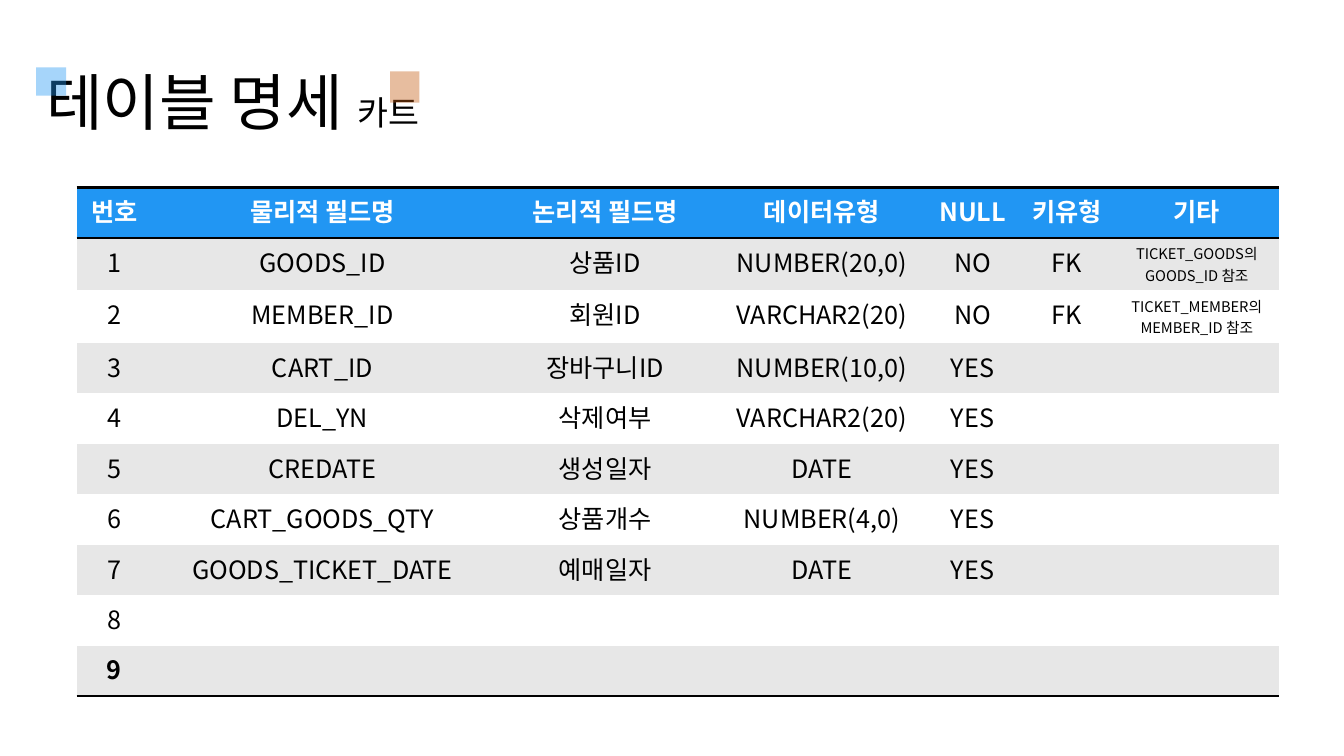
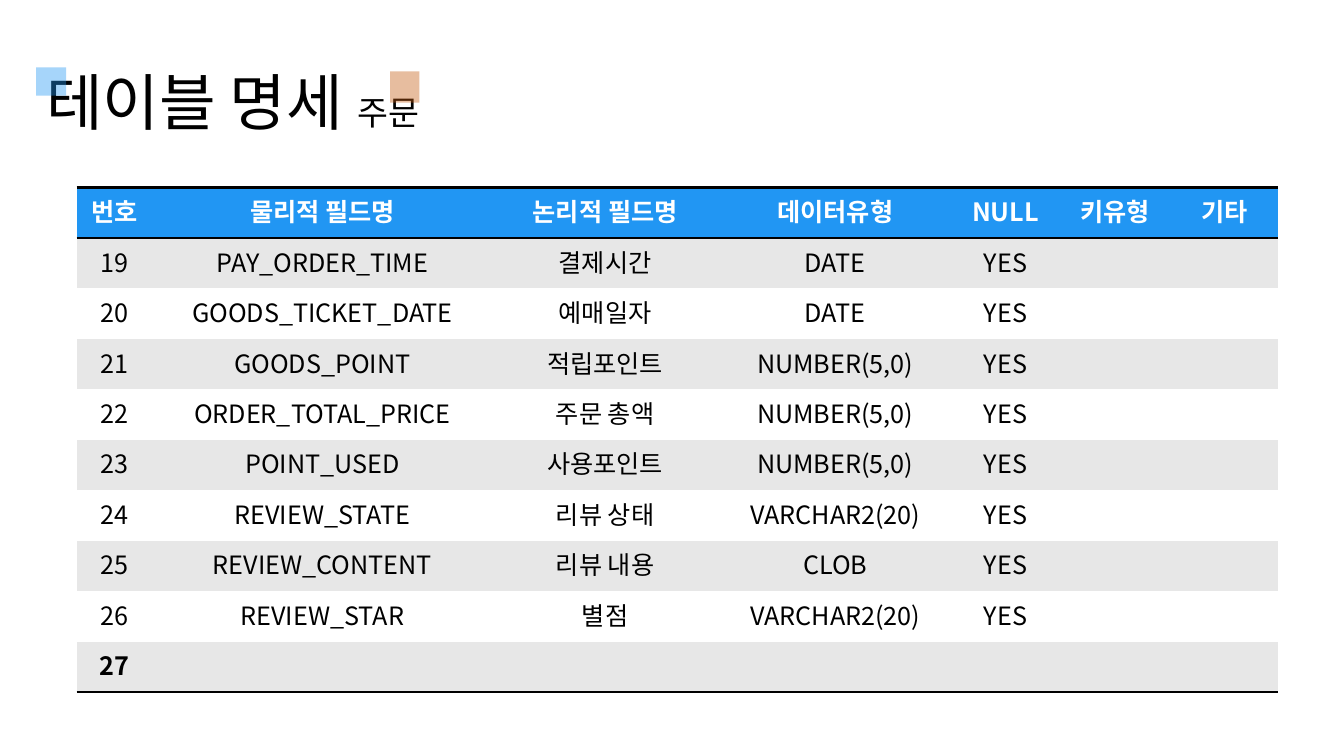
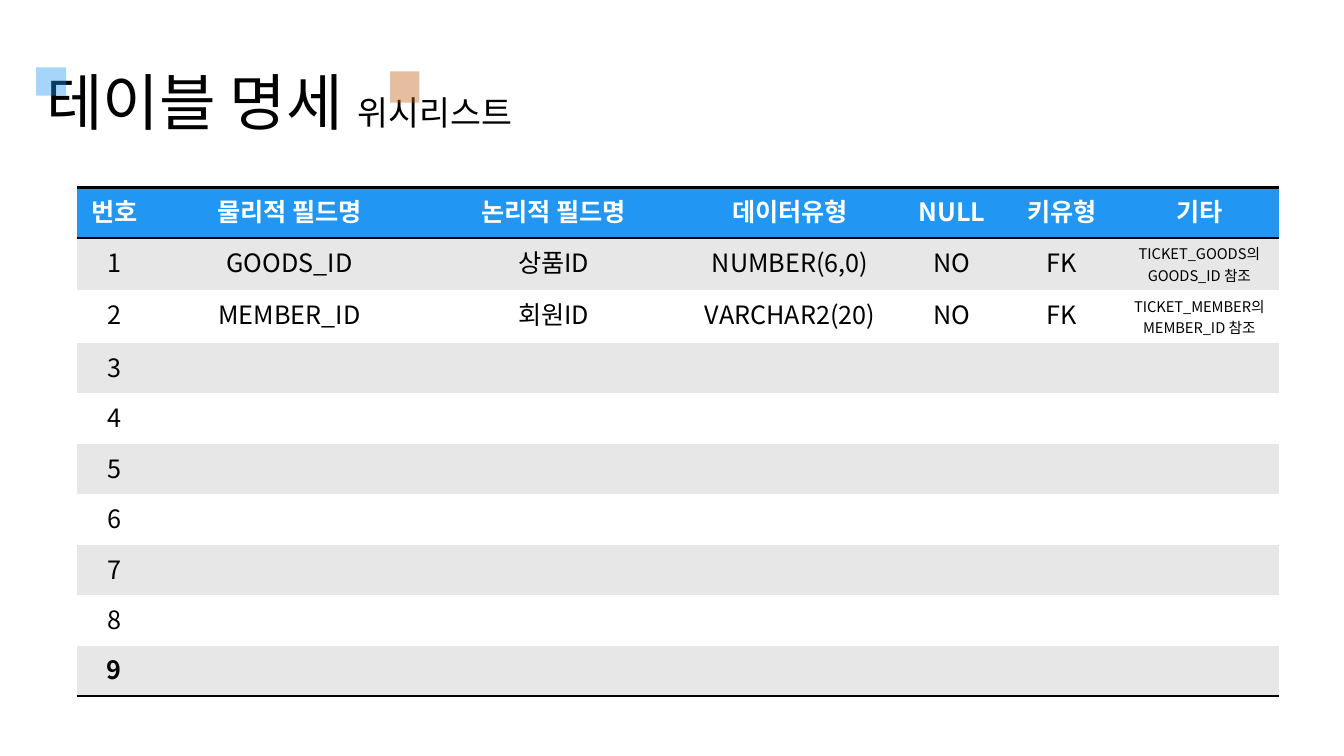
from dataclasses import dataclass

from lxml import etree
from pptx import Presentation
from pptx.dml.color import RGBColor
from pptx.enum.shapes import MSO_SHAPE
from pptx.enum.text import MSO_ANCHOR, MSO_AUTO_SIZE, PP_ALIGN
from pptx.oxml.ns import qn
from pptx.util import Cm, Pt

RECTANGLE = MSO_SHAPE.RECTANGLE
MIDDLE = MSO_ANCHOR.MIDDLE
NO_AUTOFIT = MSO_AUTO_SIZE.NONE
CENTER, LEFT = PP_ALIGN.CENTER, PP_ALIGN.LEFT

TITLE_ONLY_LAYOUT = 5
NO_TABLE_STYLE = "{2D5ABB26-0587-4C30-8999-92F81FD0307C}"


@dataclass(frozen=True)
class Theme:
    font: str = "Noto Sans CJK KR"
    black: RGBColor = RGBColor(0x00, 0x00, 0x00)
    white: RGBColor = RGBColor(0xFF, 0xFF, 0xFF)
    blue: RGBColor = RGBColor(0x21, 0x96, 0xF3)
    orange: RGBColor = RGBColor(0xC5, 0x5A, 0x11)
    gray: RGBColor = RGBColor(0xE7, 0xE7, 0xE7)
    accent_opacity: int = 40
    title_size: Pt = Pt(44)
    subtitle_size: Pt = Pt(24)
    cell_size: Pt = Pt(18)
    note_size: Pt = Pt(10.5)
    rule_width: Pt = Pt(2)


@dataclass(frozen=True)
class Box:
    left: int
    top: int
    width: int
    height: int


@dataclass(frozen=True)
class TableSpecification:
    subject: str
    column_widths: tuple
    first_number: int
    fields: list


THEME = Theme()
TITLE_BOX = Box(Cm(0.91), Cm(0.81), Cm(29.21), Cm(3.68))
TABLE_BOX = Box(Cm(1.93), Cm(4.72), Cm(30.3), Cm(12.72))
ROW_COUNT = 9
HEADINGS = ["번호", "물리적 필드명", "논리적 필드명", "데이터유형", "NULL", "키유형", "기타"]

GOODS_NOTE = "TICKET_GOODS의GOODS_ID 참조"
MEMBER_NOTE = "TICKET_MEMBER의MEMBER_ID 참조"

SPECIFICATIONS = [
    TableSpecification("카트", (1.9, 8.59, 5.66, 5.26, 2.34, 2.41, 4.14), 1, [
        ("GOODS_ID", "상품ID", "NUMBER(20,0)", "NO", "FK", GOODS_NOTE),
        ("MEMBER_ID", "회원ID", "VARCHAR2(20)", "NO", "FK", MEMBER_NOTE),
        ("CART_ID", "장바구니ID", "NUMBER(10,0)", "YES"),
        ("DEL_YN", "삭제여부", "VARCHAR2(20)", "YES"),
        ("CREDATE", "생성일자", "DATE", "YES"),
        ("CART_GOODS_QTY", "상품개수", "NUMBER(4,0)", "YES"),
        ("GOODS_TICKET_DATE", "예매일자", "DATE", "YES"),
    ]),
    TableSpecification("주문", (1.9, 8.59, 5.66, 5.94, 2.64, 2.87, 2.67), 19, [
        ("PAY_ORDER_TIME", "결제시간", "DATE", "YES"),
        ("GOODS_TICKET_DATE", "예매일자", "DATE", "YES"),
        ("GOODS_POINT", "적립포인트", "NUMBER(5,0)", "YES"),
        ("ORDER_TOTAL_PRICE", "주문 총액", "NUMBER(5,0)", "YES"),
        ("POINT_USED", "사용포인트", "NUMBER(5,0)", "YES"),
        ("REVIEW_STATE", "리뷰 상태", "VARCHAR2(20)", "YES"),
        ("REVIEW_CONTENT", "리뷰 내용", "CLOB", "YES"),
        ("REVIEW_STAR", "별점", "VARCHAR2(20)", "YES"),
    ]),
    TableSpecification("위시리스트", (1.9, 6.93, 6.38, 5.54, 2.62, 2.92, 4.01), 1, [
        ("GOODS_ID", "상품ID", "NUMBER(6,0)", "NO", "FK", GOODS_NOTE),
        ("MEMBER_ID", "회원ID", "VARCHAR2(20)", "NO", "FK", MEMBER_NOTE),
    ]),
]


def format_run(run, size, color=THEME.black, bold=False):
    """Set the theme font for both Latin and Korean letters."""
    run.font.name = THEME.font
    run.font.size = size
    run.font.bold = bold
    run.font.color.rgb = color
    east_asian = etree.SubElement(run.font._element, qn("a:ea"))
    east_asian.set("typeface", THEME.font)


def add_accent_square(slide, box, color):
    square = slide.shapes.add_shape(RECTANGLE, box.left, box.top, box.width, box.height)
    square.shadow.inherit = False
    square.line.fill.background()
    square.fill.solid()
    square.fill.fore_color.rgb = color
    color_element = square._element.spPr.find(qn("a:solidFill"))[0]
    alpha = etree.SubElement(color_element, qn("a:alpha"))
    alpha.set("val", str(THEME.accent_opacity * 1000))


def add_title(slide, box, subject):
    title = slide.shapes.title
    title.left, title.top, title.width, title.height = box.left, box.top, box.width, box.height
    text_frame = title.text_frame
    text_frame.text = "테이블 명세 "
    text_frame.word_wrap = True
    text_frame.auto_size = NO_AUTOFIT
    text_frame.vertical_anchor = MIDDLE
    paragraph = text_frame.paragraphs[0]
    paragraph.alignment = LEFT
    paragraph.line_spacing = 0.9
    format_run(paragraph.runs[0], THEME.title_size)
    subject_run = paragraph.add_run()
    subject_run.text = subject
    format_run(subject_run, THEME.subtitle_size)

    add_accent_square(slide, Box(box.left, box.top + Cm(0.89), Cm(0.76), Cm(0.71)), THEME.blue)
    add_accent_square(
        slide, Box(box.left + Cm(8.92), box.top + Cm(0.99), Cm(0.74), Cm(0.79)), THEME.orange)


def add_cell_rules(cell, edges):
    """Draw rules on the edges, given in schema order: lnT before lnB."""
    properties = cell._tc.get_or_add_tcPr()
    for position, edge in enumerate(edges):
        line = etree.Element(qn(f"a:{edge}"), w=str(THEME.rule_width))
        fill = etree.SubElement(line, qn("a:solidFill"))
        etree.SubElement(fill, qn("a:srgbClr"), val=str(THEME.black))
        properties.insert(position, line)


def fill_cell(cell, text, background, size, color, bold):
    cell.fill.solid()
    cell.fill.fore_color.rgb = background
    if text:
        cell.text_frame.text = text
        paragraph = cell.text_frame.paragraphs[0]
        paragraph.alignment = CENTER
        format_run(paragraph.runs[0], size, color, bold)


def table_rows(specification):
    """Return the headings and the numbered fields, padded to a full grid."""
    rows = [HEADINGS]
    for index in range(ROW_COUNT):
        field = specification.fields[index] if index < len(specification.fields) else ()
        row = [str(specification.first_number + index), *field]
        rows.append(row + [""] * (len(HEADINGS) - len(row)))
    return rows


def add_field_table(slide, box, specification):
    rows = table_rows(specification)
    frame = slide.shapes.add_table(
        len(rows), len(HEADINGS), box.left, box.top, box.width, box.height)
    table = frame.table
    table._tbl.tblPr.find(qn("a:tableStyleId")).text = NO_TABLE_STYLE
    for column, width in zip(table.columns, specification.column_widths):
        column.width = Cm(width)
    for row_index, row in enumerate(rows):
        is_header, is_last = row_index == 0, row_index == ROW_COUNT
        background = THEME.blue if is_header else THEME.gray if row_index % 2 else THEME.white
        color = THEME.white if is_header else THEME.black
        edges = ("lnT", "lnB") if is_header else ("lnB",) if is_last else ()
        for column_index, text in enumerate(row):
            is_note = not is_header and column_index == len(HEADINGS) - 1
            size = THEME.note_size if is_note else THEME.cell_size
            cell = table.cell(row_index, column_index)
            fill_cell(cell, text, background, size, color, is_header or is_last)
            add_cell_rules(cell, edges)


def add_specification_slide(presentation, specification):
    slide = presentation.slides.add_slide(presentation.slide_layouts[TITLE_ONLY_LAYOUT])
    add_field_table(slide, TABLE_BOX, specification)
    add_title(slide, TITLE_BOX, specification.subject)


def main():
    presentation = Presentation()
    presentation.slide_width = Cm(33.87)
    presentation.slide_height = Cm(19.05)
    for specification in SPECIFICATIONS:
        add_specification_slide(presentation, specification)
    presentation.save("out.pptx")


if __name__ == "__main__":
    main()
